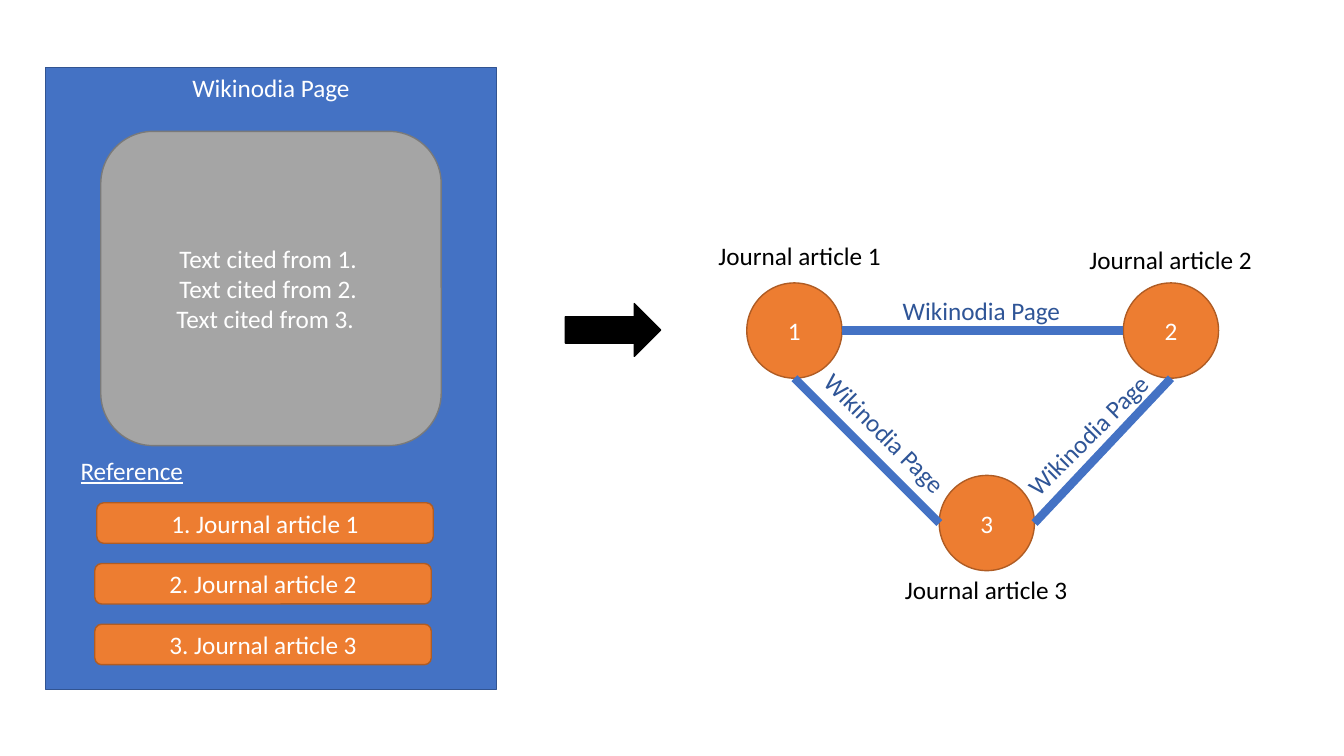
from dataclasses import dataclass

from lxml import etree
from pptx import Presentation
from pptx.dml.color import RGBColor
from pptx.enum.shapes import MSO_CONNECTOR, MSO_SHAPE
from pptx.enum.text import MSO_ANCHOR, PP_ALIGN
from pptx.oxml.ns import qn
from pptx.slide import Slide
from pptx.text.text import TextFrame
from pptx.util import Cm, Pt

RECTANGLE = MSO_SHAPE.RECTANGLE
ROUNDED = MSO_SHAPE.ROUNDED_RECTANGLE
ELLIPSE = MSO_SHAPE.OVAL
RIGHT_ARROW = MSO_SHAPE.RIGHT_ARROW
STRAIGHT = MSO_CONNECTOR.STRAIGHT
TOP, MIDDLE = MSO_ANCHOR.TOP, MSO_ANCHOR.MIDDLE
LEFT, CENTER = PP_ALIGN.LEFT, PP_ALIGN.CENTER


@dataclass(frozen=True)
class Theme:
    """Colours, font and sizes of the slide."""
    font: str = "Calibri"
    text_size: float = 18
    outline_width: float = 1
    edge_width: float = 6
    white: str = "FFFFFF"
    black: str = "000000"
    blue: str = "4472C4"
    blue_outline: str = "325491"
    blue_text: str = "2F5597"
    grey: str = "A5A5A5"
    grey_outline: str = "7A7A7A"
    orange: str = "ED7D31"
    orange_outline: str = "AF5C24"


THEME = Theme()


@dataclass(frozen=True)
class Line:
    """One line of text; right_indent (cm) nudges centred text to the left."""
    text: str
    right_indent: float = 0
    underline: bool = False


@dataclass(frozen=True)
class Block:
    """A filled shape, measured in centimetres."""
    kind: MSO_SHAPE
    left: float
    top: float
    width: float
    height: float
    fill: str
    outline: str
    lines: tuple[Line, ...] = ()
    anchor: MSO_ANCHOR = MIDDLE


@dataclass(frozen=True)
class Label:
    """A free text placed by its centre, in centimetres."""
    line: Line
    center_x: float
    center_y: float
    width: float
    color: str
    rotation: float = 0


@dataclass(frozen=True)
class Node:
    """A graph node placed by its centre, in centimetres."""
    number: int
    x: float
    y: float


@dataclass(frozen=True)
class Edge:
    """A straight link between two points, in centimetres."""
    start_x: float
    start_y: float
    end_x: float
    end_y: float


def write_lines(frame: TextFrame, lines: tuple[Line, ...], color: str,
                alignment: PP_ALIGN) -> None:
    """Write each line as a paragraph with one run."""
    for index, line in enumerate(lines):
        paragraph = frame.add_paragraph() if index else frame.paragraphs[0]
        paragraph.alignment = alignment
        if line.right_indent:
            properties = paragraph._p.get_or_add_pPr()
            properties.set("marR", str(int(Cm(line.right_indent))))
        run = paragraph.add_run()
        run.text = line.text
        run.font.name = THEME.font
        run.font.size = Pt(THEME.text_size)
        run.font.color.rgb = RGBColor.from_string(color)
        if line.underline:
            run.font.underline = True


def draw_block(slide: Slide, block: Block) -> None:
    """Draw a filled shape with centred white text."""
    shape = slide.shapes.add_shape(block.kind, Cm(block.left), Cm(block.top),
                                   Cm(block.width), Cm(block.height))
    shape.shadow.inherit = False
    shape.fill.solid()
    shape.fill.fore_color.rgb = RGBColor.from_string(block.fill)
    shape.line.color.rgb = RGBColor.from_string(block.outline)
    shape.line.width = Pt(THEME.outline_width)
    shape.text_frame.vertical_anchor = block.anchor
    write_lines(shape.text_frame, block.lines, THEME.white, CENTER)


def draw_label(slide: Slide, label: Label) -> None:
    """Draw a one-line text box around its centre."""
    box = slide.shapes.add_textbox(Cm(label.center_x - label.width / 2),
                                   Cm(label.center_y - LINE_HEIGHT / 2),
                                   Cm(label.width), Cm(LINE_HEIGHT))
    box.rotation = label.rotation
    box.text_frame.word_wrap = False
    write_lines(box.text_frame, (label.line,), label.color, LEFT)


def draw_edge(slide: Slide, edge: Edge) -> None:
    """Draw a thick link without a shadow."""
    connector = slide.shapes.add_connector(
        STRAIGHT, Cm(edge.start_x), Cm(edge.start_y), Cm(edge.end_x), Cm(edge.end_y))
    connector.line.color.rgb = RGBColor.from_string(THEME.blue)
    connector.line.width = Pt(THEME.edge_width)
    etree.SubElement(connector._element.spPr, qn("a:effectLst"))


LINE_HEIGHT = 1.02
RADIUS = 1.2
PAGE_NAME = Line("Wikinodia Page")
ARTICLES = [f"Journal article {number}" for number in (1, 2, 3)]
REFERENCE_TOP, REFERENCE_STEP = 12.67, 1.53
REFERENCE_LEFTS = (2.44, 2.39, 2.39)

page_blocks = [
    Block(RECTANGLE, 1.14, 1.7, 11.38, 15.67, THEME.blue, THEME.blue_outline,
          (PAGE_NAME,), TOP),
    Block(ROUNDED, 2.54, 3.31, 8.58, 7.92, THEME.grey, THEME.grey_outline,
          (Line("Text cited from 1.", 0.14), Line("Text cited from 2."),
           Line("Text cited from 3.", 0.29))),
]
reference_blocks = [
    Block(ROUNDED, left, REFERENCE_TOP + index * REFERENCE_STEP, 8.48, LINE_HEIGHT,
          THEME.orange, THEME.orange_outline, (Line(f"{index + 1}. {article}"),))
    for index, (left, article) in enumerate(zip(REFERENCE_LEFTS, ARTICLES))
]
arrow_block = Block(RIGHT_ARROW, 14.25, 7.65, 2.4, 1.33, THEME.black, THEME.black)

nodes = [Node(1, 20.02, 8.33), Node(2, 29.51, 8.33), Node(3, 24.87, 13.18)]
first, second, third = nodes
node_blocks = [
    Block(ELLIPSE, node.x - RADIUS, node.y - RADIUS, 2 * RADIUS, 2 * RADIUS,
          THEME.orange, THEME.orange_outline, (Line(str(node.number)),))
    for node in nodes
]
edges = [
    Edge(first.x + RADIUS, first.y, second.x - RADIUS, second.y),
    Edge(first.x, first.y + RADIUS, third.x - RADIUS, third.y),
    Edge(second.x, second.y + RADIUS, third.x + RADIUS, third.y),
]

article_centers = [(20.18, 6.45), (29.53, 6.53), (24.88, 14.86)]
edge_label_places = [(24.75, 7.82, 0), (22.31, 10.92, 45), (27.42, 10.95, 315)]
labels = [Label(Line("Reference", underline=True), 3.34, 11.86, 3.12, THEME.white)]
labels += [Label(Line(article), x, y, 4.65, THEME.black)
           for article, (x, y) in zip(ARTICLES, article_centers)]
labels += [Label(PAGE_NAME, x, y, 4.5, THEME.blue_text, rotation)
           for x, y, rotation in edge_label_places]

presentation = Presentation()
presentation.slide_width, presentation.slide_height = Cm(33.87), Cm(19.05)
slide = presentation.slides.add_slide(presentation.slide_layouts[6])
for block in [*page_blocks, *reference_blocks, arrow_block, *node_blocks]:
    draw_block(slide, block)
for edge in edges:
    draw_edge(slide, edge)
for label in labels:
    draw_label(slide, label)
presentation.save("out.pptx")
